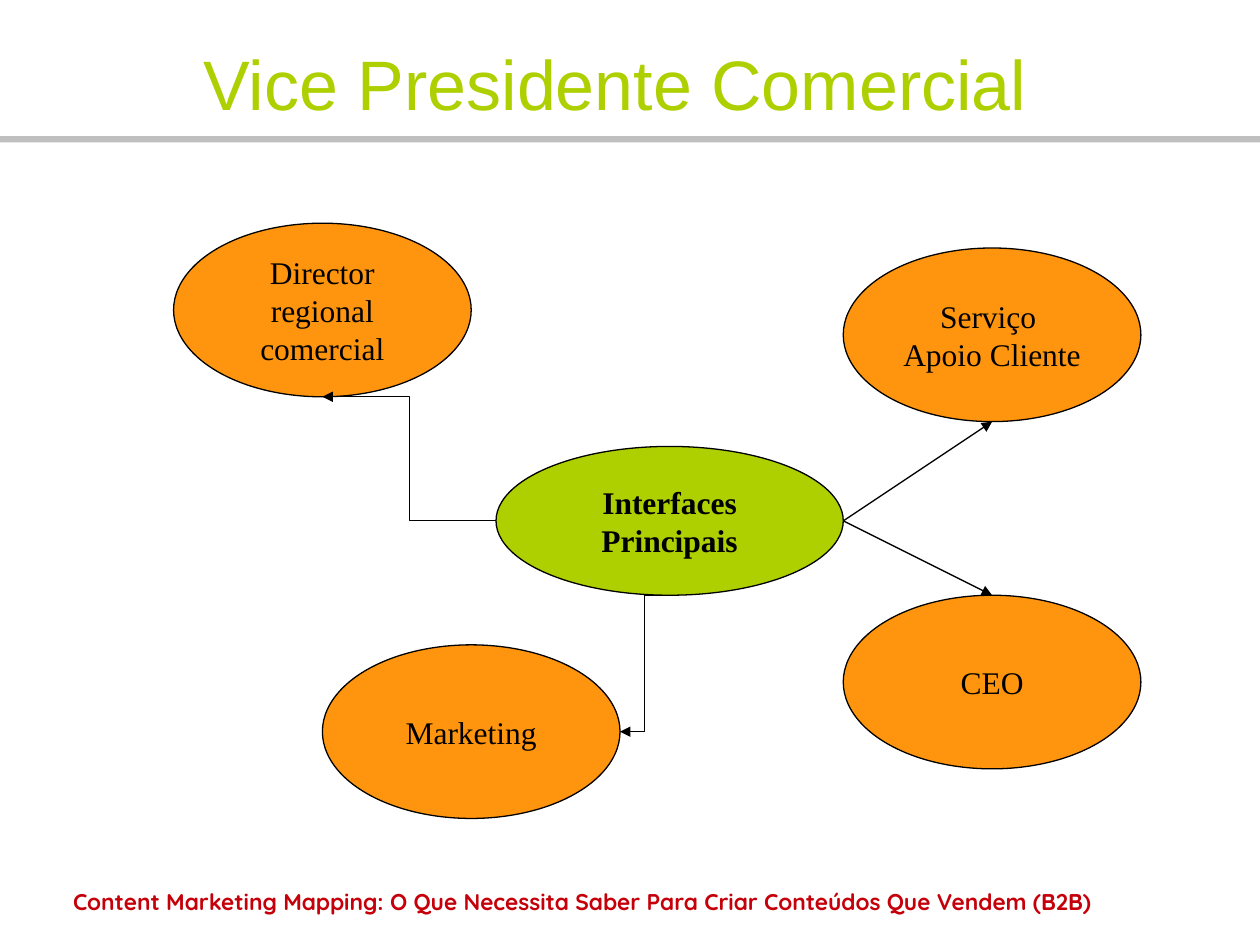
from dataclasses import dataclass

from lxml import etree
from pptx import Presentation
from pptx.dml.color import RGBColor
from pptx.enum.shapes import MSO_CONNECTOR, MSO_SHAPE
from pptx.enum.text import MSO_ANCHOR, MSO_AUTO_SIZE, PP_ALIGN
from pptx.oxml.ns import qn
from pptx.util import Cm, Inches, Pt

ELLIPSE, RECTANGLE = MSO_SHAPE.OVAL, MSO_SHAPE.RECTANGLE
ELBOW, STRAIGHT = MSO_CONNECTOR.ELBOW, MSO_CONNECTOR.STRAIGHT
CENTER, LEFT = PP_ALIGN.CENTER, PP_ALIGN.LEFT
TOP, MIDDLE = MSO_ANCHOR.TOP, MSO_ANCHOR.MIDDLE


@dataclass(frozen=True)
class Theme:
    green: str = "AECF00"
    orange: str = "FF950E"
    black: str = "000000"
    red: str = "C5000B"
    grey: str = "BFBFBF"
    line_width: float = 0.75


THEME = Theme()
TITLE_FONT = {"name": "Arial", "size": Pt(40), "bold": False}
FOOTER_FONT = {"name": "Quicksand", "size": Pt(13), "bold": True}
ROLE_FONT = {"name": "Times New Roman", "size": Pt(18), "bold": False}
HUB_FONT = {**ROLE_FONT, "bold": True}

TITLE = "Vice Presidente Comercial"
FOOTER = "Content Marketing Mapping: O Que Necessita Saber Para Criar Conteúdos Que Vendem (B2B)"

# Ellipses sit on a half-centimetre grid: name, lines, column, row
GRID = Cm(0.5)
HUB_SIZE = (14, 6)
ROLE_SIZE = (12, 7)
HUB = ("hub", ["Interfaces", "Principais"], 20, 18)
ROLES = [
    ("director", ["Director", "regional", "comercial"], 7, 9),
    ("marketing", ["Marketing"], 13, 26),
    ("service", ["Serviço ", "Apoio Cliente"], 34, 10),
    ("ceo", ["CEO"], 34, 24),
]
# Connector kind, side of the hub, role, side of the role
LINKS = [
    (ELBOW, "left", "director", "bottom"),
    (ELBOW, "bottom", "marketing", "right"),
    (STRAIGHT, "right", "service", "bottom"),
    (STRAIGHT, "right", "ceo", "top"),
]
SIDES = {"top": (0.5, 0), "left": (0, 0.5), "bottom": (0.5, 1), "right": (1, 0.5)}


def write(shape, lines, font, color, align, anchor, margins):
    """Fill a shape with paragraphs; margins are left, top, right, bottom in inches."""
    frame = shape.text_frame
    frame.word_wrap = True
    frame.auto_size = MSO_AUTO_SIZE.NONE
    frame.vertical_anchor = anchor
    for side, margin in zip(("left", "top", "right", "bottom"), margins):
        setattr(frame, f"margin_{side}", Inches(margin))
    frame.text = "\n".join(lines)
    for paragraph in frame.paragraphs:
        paragraph.alignment = align
        run_font = paragraph.runs[0].font
        for name, value in font.items():
            setattr(run_font, name, value)
        run_font.color.rgb = RGBColor.from_string(color)


def paint(shape, color):
    shape.shadow.inherit = False
    shape.fill.solid()
    shape.fill.fore_color.rgb = RGBColor.from_string(color)


def outline(line):
    line.color.rgb = RGBColor.from_string(THEME.black)
    line.width = Pt(THEME.line_width)


def add_ellipse(slide, lines, cell, size, color, font):
    box = [GRID * units for units in (*cell, *size)]
    shape = slide.shapes.add_shape(ELLIPSE, *box)
    paint(shape, color)
    outline(shape.line)
    write(shape, lines, font, THEME.black, CENTER, MIDDLE, (0.1, 0.05, 0.1, 0.05))
    return shape


def side_point(shape, side):
    x_share, y_share = SIDES[side]
    return (int(shape.left + shape.width * x_share),
            int(shape.top + shape.height * y_share))


def add_arrow(slide, kind, start, end):
    connector = slide.shapes.add_connector(kind, *start, *end)
    outline(connector.line)
    line = connector.line._get_or_add_ln()
    etree.SubElement(line, qn("a:tailEnd"), type="triangle")
    etree.SubElement(connector._element.spPr, qn("a:effectLst"))


def main():
    presentation = Presentation()
    presentation.slide_width, presentation.slide_height = Inches(10), Inches(7.5)
    slide = presentation.slides.add_slide(presentation.slide_layouts[5])

    bar = slide.shapes.add_shape(
        RECTANGLE, 0, Inches(1.08), presentation.slide_width, Inches(0.05))
    paint(bar, THEME.grey)
    bar.line.fill.background()

    footer = slide.shapes.add_textbox(Inches(0.25), Inches(7), Inches(9.36), Inches(0.5))
    write(footer, [FOOTER], FOOTER_FONT, THEME.red, LEFT, TOP, (0.33, 0.05, 0.1, 0.05))

    title = slide.shapes.title
    title.left, title.top = Inches(1.38), Inches(0.2)
    title.width, title.height = Inches(7), Inches(0.8)
    write(title, [TITLE], TITLE_FONT, THEME.green, CENTER, TOP, (0, 0.12, 0, 0))

    _, hub_lines, *hub_cell = HUB
    hub = add_ellipse(slide, hub_lines, hub_cell, HUB_SIZE, THEME.green, HUB_FONT)
    roles = {
        name: add_ellipse(slide, lines, cell, ROLE_SIZE, THEME.orange, ROLE_FONT)
        for name, lines, *cell in ROLES
    }
    for kind, hub_side, role, role_side in LINKS:
        add_arrow(slide, kind, side_point(hub, hub_side),
                  side_point(roles[role], role_side))

    presentation.save("out.pptx")


if __name__ == "__main__":
    main()
